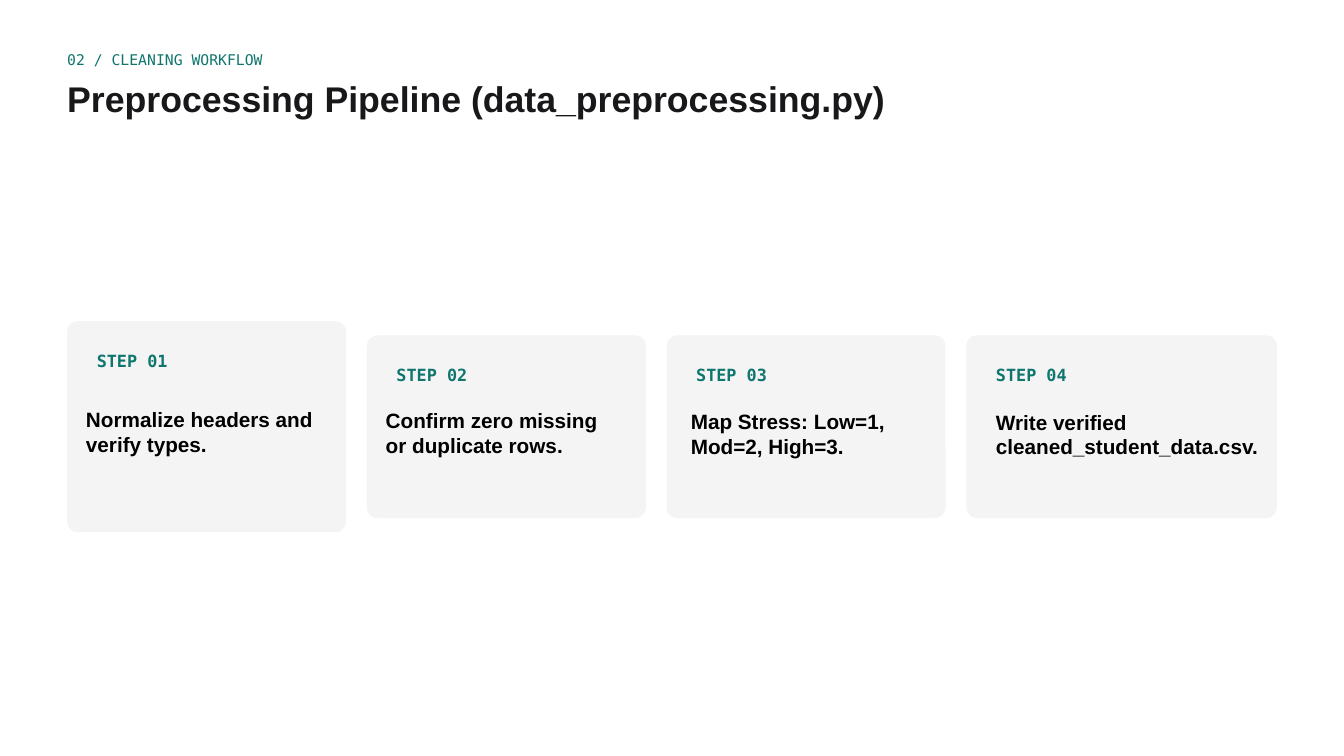
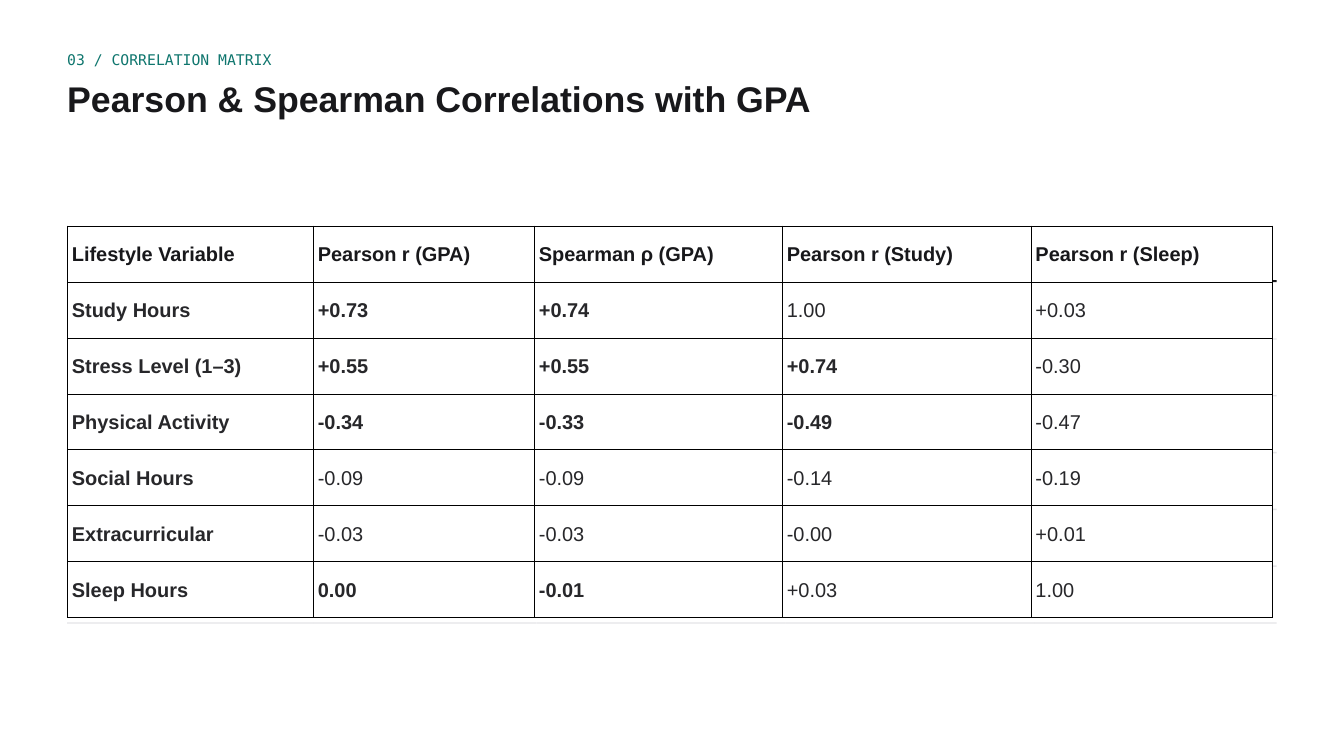
from itertools import pairwise

from lxml.etree import SubElement as Sub
from pptx import Presentation
from pptx.dml.color import RGBColor as Rgb
from pptx.enum.shapes import MSO_SHAPE as Kind
from pptx.enum.text import MSO_ANCHOR as Anchor, PP_ALIGN as Align
from pptx.oxml.ns import qn
from pptx.util import Inches, Pt

HUES = {"ink": "18181B", "text": "27272A", "black": "000000", "teal": "0F766E",
        "card": "F4F4F5", "rule": "E4E4E7", "white": "FFFFFF"}
SANS, MONO = "Arial", "DejaVu Sans Mono"
COLS, ROWS = 20, 11.25

STEPS = [("Normalize headers and verify types.", 4.15, 3.14, 0.28),
         ("Confirm zero missing or duplicate rows.", 4.15, 2.72, 0.28),
         ("Map Stress: Low=1, Mod=2, High=3.", 4.15, 2.72, 0.36),
         ("Write verified cleaned_student_data.csv.", 4.62, 2.72, 0.44)]
HEADS = ["Lifestyle Variable", "Pearson r (GPA)", "Spearman ρ (GPA)",
         "Pearson r (Study)", "Pearson r (Sleep)"]
STATS = [(3, ["Study Hours", "+0.73", "+0.74", "1.00", "+0.03"]),
         (4, ["Stress Level (1–3)", "+0.55", "+0.55", "+0.74", "-0.30"]),
         (4, ["Physical Activity", "-0.34", "-0.33", "-0.49", "-0.47"]),
         (1, ["Social Hours", "-0.09", "-0.09", "-0.14", "-0.19"]),
         (1, ["Extracurricular", "-0.03", "-0.03", "-0.00", "+0.01"]),
         (3, ["Sleep Hours", "0.00", "-0.01", "+0.03", "1.00"])]


class Deck:
    """Hold the style and the current slide."""

    def __init__(self):
        self.prs = Presentation()
        self.prs.slide_width, self.prs.slide_height = Inches(20), Inches(11.25)
        self.slide = None

    def col(self, n):
        """Turn grid columns into a length."""
        return round(self.prs.slide_width * n / COLS)

    def row(self, n):
        """Turn grid rows into a length."""
        return round(self.prs.slide_height * n / ROWS)

    def box(self, x, y, w, h):
        """Turn a grid area into left, top, width and height."""
        return self.col(x), self.row(y), self.col(w), self.row(h)

    def style(self, frame, text, size, lead, hue, font=SANS, bold=True):
        """Write one paragraph and format it."""
        frame.text = text
        para = frame.paragraphs[0]
        para.alignment, para.line_spacing = Align.LEFT, Pt(lead)
        for run in para.runs:
            face = run.font
            face.name, face.size, face.bold = font, Pt(size), bold
            face.color.rgb = Rgb.from_string(HUES[hue])

    def fit(self, shape, *look, **more):
        """Fill a text shape that has no insets."""
        frame = shape.text_frame
        frame.word_wrap, frame.vertical_anchor = True, Anchor.TOP
        frame.margin_left = frame.margin_right = 0
        frame.margin_top = frame.margin_bottom = 0
        self.style(frame, *look, **more)

    def text(self, area, *look, **more):
        """Add a text box."""
        self.fit(self.slide.shapes.add_textbox(*self.box(*area)), *look, **more)

    def page(self, tag, title):
        """Start a slide with its section tag and title."""
        self.slide = self.prs.slides.add_slide(self.prs.slide_layouts[5])
        self.text((1, 0.76, 19, 0.27), tag, 15.8, 18.9, "teal", font=MONO, bold=False)
        head = self.slide.shapes.title
        head.left, head.top, head.width, head.height = self.box(1, 1.14, 19, 0.69)
        self.fit(head, title, 38.2, 45.9, "ink")

    def block(self, area, hue, curve=0):
        """Add a filled shape, rounded when a corner radius is given."""
        kind = Kind.ROUNDED_RECTANGLE if curve else Kind.RECTANGLE
        shape = self.slide.shapes.add_shape(kind, *self.box(*area))
        if curve:
            shape.adjustments[0] = curve / min(area[2:])
        shape.shadow.inherit = False
        shape.fill.solid()
        shape.fill.fore_color.rgb = Rgb.from_string(HUES[hue])
        shape.line.fill.background()

    def card(self, num, x, note, width, tall, inset):
        """Add a step card centred on the row of cards."""
        top = 6.35 - tall / 2
        self.block((x, top, width, tall), "card", 0.16)
        wide = width - 0.71
        self.text((x + 0.44, top + 0.44, wide, 0.42), f"STEP {num:02}",
                  18, 21.6, "teal", font=MONO)
        self.text((x + inset, 6.05 + num / 100, wide, 0.74), note, 22.2, 26.7, "black")

    def cell(self, cell, text, hue, bold):
        """Format one bordered table cell."""
        props = cell._tc.get_or_add_tcPr()
        for side in ("a:lnL", "a:lnR", "a:lnT", "a:lnB"):
            line = Sub(props, qn(side), w=str(Pt(0.37)))
            Sub(Sub(line, qn("a:solidFill")), qn("a:srgbClr"), val=HUES["black"])
        cell.fill.solid()
        cell.fill.fore_color.rgb = Rgb.from_string(HUES["white"])
        cell.vertical_anchor = Anchor.MIDDLE
        cell.margin_left = cell.margin_right = self.col(0.07)
        cell.margin_top = cell.margin_bottom = self.row(0.07)
        self.style(cell.text_frame, text, 21.4, 25.6, hue, bold=bold)

    def table(self, area, widths, rows):
        """Add a table from rows of bold count and texts."""
        grid = self.slide.shapes.add_table(len(rows), len(widths), *self.box(*area)).table
        grid.first_row = grid.horz_banding = False
        for col, width in zip(grid.columns, widths):
            col.width = self.col(width)
        for r, (strong, texts) in enumerate(rows):
            for c, text in enumerate(texts):
                self.cell(grid.cell(r, c), text, "text" if r else "ink", c < strong)


def main():
    """Build both slides and save them."""
    deck = Deck()
    deck.page("02 / CLEANING WORKFLOW", "Preprocessing Pipeline (data_preprocessing.py)")
    for i, step in enumerate(STEPS):
        deck.card(i + 1, 1 + 4.46 * i, *step)

    deck.page("03 / CORRELATION MATRIX", "Pearson & Spearman Correlations with GPA")
    edges = [1, 4.67, 7.98, 11.69, 15.4, 19]
    for i in range(len(STATS) + 1):
        y, thick, hue = (4.19 + 0.845 * i, 0.02, "rule") if i else (4.17, 0.03, "ink")
        for left, right in pairwise(edges):
            deck.block((left, y, right - left, thick), hue)
    deck.table((1, 3.36, 17.93, 5.83), [3.66, 3.29, 3.69, 3.7, 3.59],
               [(len(HEADS), HEADS)] + STATS)
    deck.prs.save("out.pptx")


if __name__ == "__main__":
    main()
